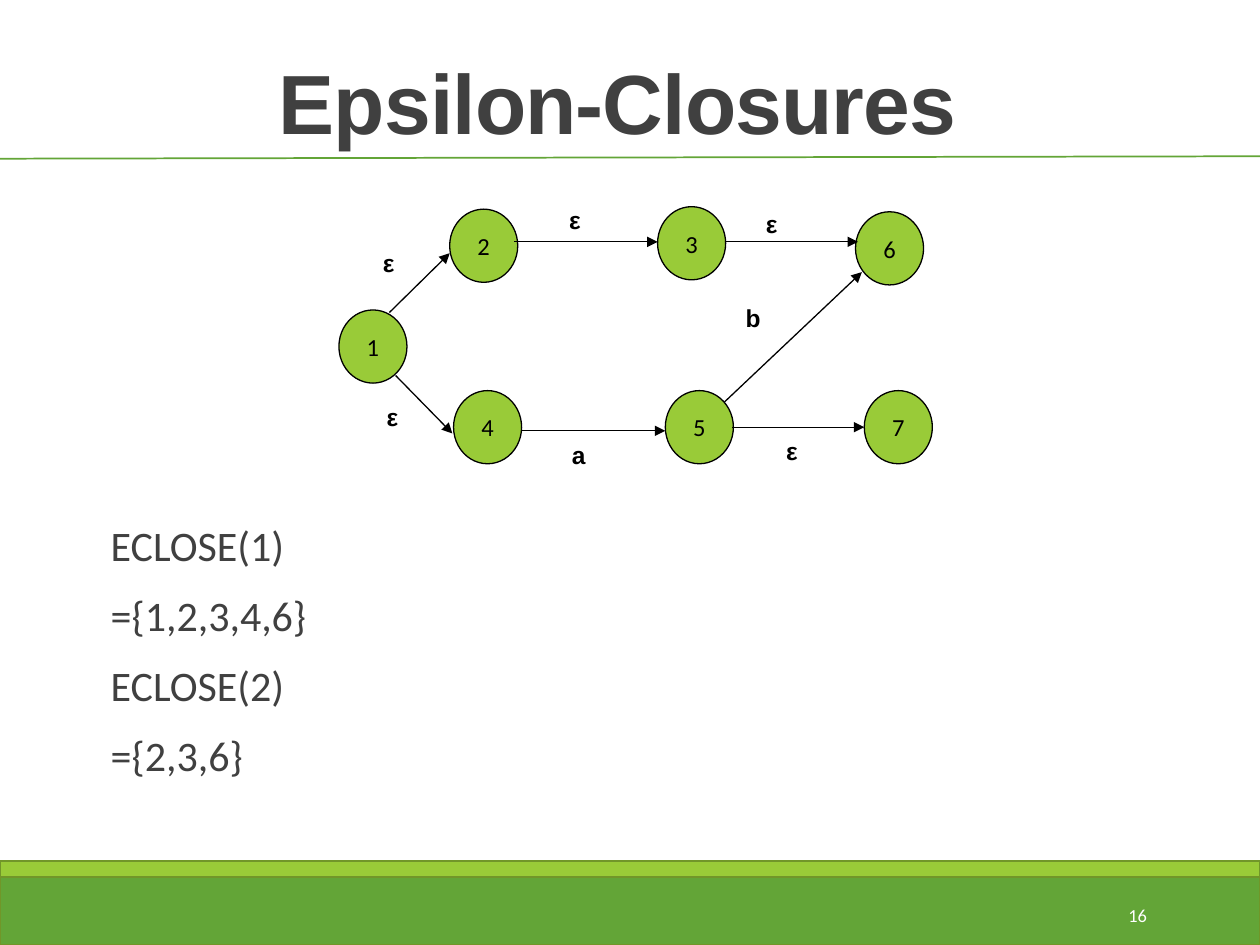
"""Build the Epsilon-Closures slide: a state graph with its closure sets."""
from lxml.etree import SubElement
from pptx import Presentation
from pptx.dml.color import RGBColor
from pptx.enum.shapes import MSO_CONNECTOR, MSO_SHAPE
from pptx.enum.text import MSO_ANCHOR, MSO_AUTO_SIZE, PP_ALIGN
from pptx.oxml.ns import qn
from pptx.util import Pt

TITLE = "Epsilon-Closures "
BODY = ["ECLOSE(1)", "={1,2,3,4,6}", "ECLOSE(2)", "={2,3,6}"]
PAGE = "16"
GREEN, LIME, EDGE = "63A537", "99CB38", "719629"
GREY, BLACK, WHITE = "404040", "000000", "FFFFFF"

NODE = (38.9, 41.8)
STATES = {
    "1": (193.7, 177.1), "2": (257, 119.5), "3": (375.8, 118.1),
    "4": (259.2, 223.2), "5": (380.2, 223.2), "6": (488.9, 121),
    "7": (493.9, 223.2),
}
# Each arc: start, end, label, label corner
ARCS = [
    ((222.5, 178.6), (257, 144.7), "ε", (211.7, 138.2)),
    ((226.1, 214.6), (258.5, 247.7), "ε", (213.8, 226.1)),
    ((293.8, 138.2), (375.8, 138.2), "ε", (318.2, 113.8)),
    ((414, 138.2), (490.3, 138.2), "ε", (430.6, 115.9)),
    ((298.1, 246.2), (380.2, 246.2), "a", (319.7, 247.7)),
    ((418.3, 244.1), (493.9, 244.1), "ε", (442.1, 245.5)),
    ((414, 229.7), (492.5, 155.5), "b", (419, 169.9)),
]
WIDTHS = {"ε": 20.9, "a": 22.3, "b": 23}
BANDS = [((0, 498.2, 720, 41.8), GREEN), ((0, 491.8, 720, 9.4), LIME)]


def rgb(code):
    """Turn a hex string into a colour."""
    return RGBColor.from_string(code)


def write(para, text, size, face, tint, bold=False):
    """Add one run to a paragraph."""
    run = para.add_run()
    run.text = text
    font = run.font
    font.size, font.name, font.bold = Pt(size), face, bold
    font.color.rgb = rgb(tint)
    return run


def shape(slide, kind, area, fill, line, width):
    """Add a filled and outlined preset shape."""
    form = slide.shapes.add_shape(kind, *map(Pt, area))
    form.shadow.inherit = False
    form.fill.solid()
    form.fill.fore_color.rgb = rgb(fill)
    form.line.color.rgb = rgb(line)
    form.line.width = Pt(width)
    return form


def box(slide, area, anchor=MSO_ANCHOR.TOP, wrap=True):
    """Add a text box and return its frame."""
    frame = slide.shapes.add_textbox(*map(Pt, area)).text_frame
    frame.word_wrap = wrap
    frame.vertical_anchor = anchor
    return frame


def link(slide, start, end, tint, width, arrow=False):
    """Add a straight line, with an arrowhead on request."""
    line = slide.shapes.add_connector(
        MSO_CONNECTOR.STRAIGHT, *map(Pt, start + end))
    line.line.color.rgb = rgb(tint)
    line.line.width = Pt(width)
    if arrow:
        SubElement(line.line._get_or_add_ln(), qn("a:tailEnd"), type="triangle")
    SubElement(line._element.spPr, qn("a:effectLst"))


def frame_page(slide):
    """Draw the bands, rule, title and page number."""
    for area, fill in BANDS:
        shape(slide, MSO_SHAPE.RECTANGLE, area, fill, EDGE, 1.25)
    link(slide, (-2.2, 90.7), (720, 89.3), GREEN, 1)
    para = box(slide, (35.3, 18, 648, 72), MSO_ANCHOR.BOTTOM).paragraphs[0]
    para.alignment, para.line_spacing = PP_ALIGN.CENTER, 0.85
    run = write(para, TITLE, 48, "Arial", GREY, True)
    run.font._element.set("spc", "-50")
    para = box(slide, (584.6, 508.3, 77.8, 28.8), MSO_ANCHOR.MIDDLE).paragraphs[0]
    para.alignment = PP_ALIGN.RIGHT
    write(para, PAGE, 10.5, "Calibri", WHITE)


def list_sets(slide):
    """Write the closure sets below the graph."""
    frame = box(slide, (56.2, 296.6, 648, 167.8))
    frame.margin_left, frame.margin_right = Pt(7.2), 0
    for i, text in enumerate(BODY):
        para = frame.add_paragraph() if i else frame.paragraphs[0]
        para.line_spacing = 0.9
        para.space_before, para.space_after = Pt(12), Pt(2)
        write(para, text, 24, "Calibri", GREY)


def draw_graph(slide):
    """Draw the states, arcs and arc labels."""
    for name, spot in STATES.items():
        form = shape(slide, MSO_SHAPE.OVAL, spot + NODE, LIME, BLACK, 0.75)
        frame = form.text_frame
        frame.word_wrap = False
        frame.vertical_anchor = MSO_ANCHOR.MIDDLE
        para = frame.paragraphs[0]
        para.alignment = PP_ALIGN.CENTER
        write(para, name, 14, "Calibri", BLACK)
    for start, end, label, spot in ARCS:
        link(slide, start, end, BLACK, 0.75, True)
        frame = box(slide, spot + (WIDTHS[label], 24.5), wrap=False)
        frame.auto_size = MSO_AUTO_SIZE.SHAPE_TO_FIT_TEXT
        write(frame.paragraphs[0], label, 14, "Arial", BLACK, True)


def main():
    """Build and save the deck."""
    deck = Presentation()
    deck.slide_width, deck.slide_height = Pt(720), Pt(540)
    slide = deck.slides.add_slide(deck.slide_layouts[6])
    frame_page(slide)
    list_sets(slide)
    draw_graph(slide)
    deck.save("out.pptx")


if __name__ == "__main__":
    main()
